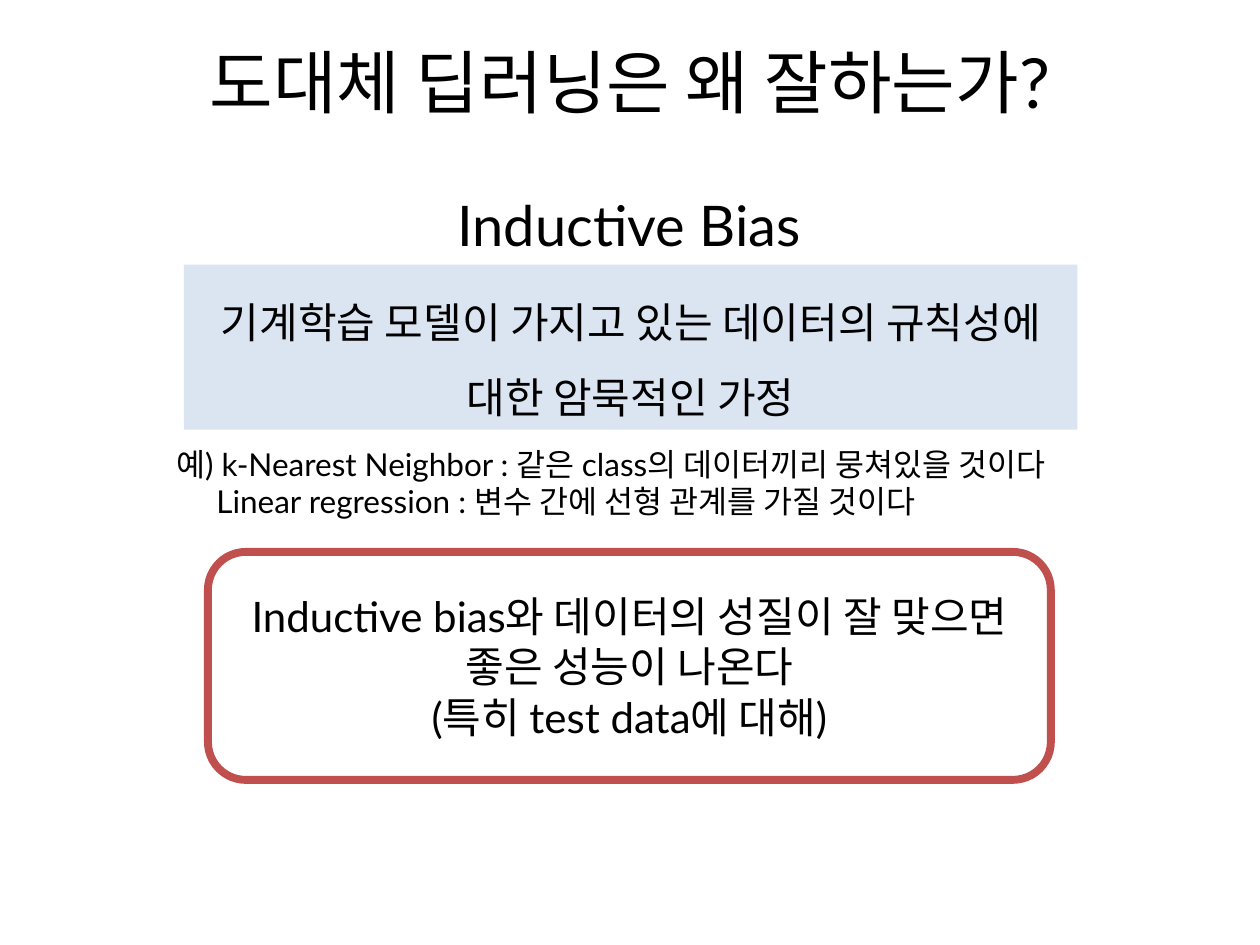
from pptx import Presentation
from pptx.dml.color import RGBColor
from pptx.enum.shapes import MSO_SHAPE
from pptx.enum.text import MSO_ANCHOR, MSO_AUTO_SIZE, PP_ALIGN
from pptx.util import Inches, Pt


def color(value):
    return RGBColor.from_string(value)


class SlideBuilder:
    font_name = "Lato"
    text_color = "000000"

    def __init__(self, page):
        self.page = page

    def fill_text(self, box, lines, size, align=PP_ALIGN.CENTER,
                  anchor=MSO_ANCHOR.TOP, spacing=None):
        frame = box.text_frame
        frame.text = "\n".join(lines)
        frame.word_wrap = True
        frame.auto_size = MSO_AUTO_SIZE.NONE
        frame.vertical_anchor = anchor
        for para in frame.paragraphs:
            para.alignment = align
            if spacing:
                para.line_spacing = spacing
            for span in para.runs:
                span.font.name = self.font_name
                span.font.size = Pt(size)
                span.font.color.rgb = color(self.text_color)
        return box

    def title(self, text, left, top, width, height):
        box = self.page.shapes.title
        box.left, box.top = Inches(left), Inches(top)
        box.width, box.height = Inches(width), Inches(height)
        return self.fill_text(box, [text], 39.5, anchor=MSO_ANCHOR.MIDDLE)

    def text(self, lines, left, top, width, height, size, **style):
        box = self.page.shapes.add_textbox(
            Inches(left), Inches(top), Inches(width), Inches(height))
        return self.fill_text(box, lines, size, **style)

    def panel(self, kind, lines, left, top, width, height, fill,
              line=None, **style):
        box = self.page.shapes.add_shape(
            kind, Inches(left), Inches(top), Inches(width), Inches(height))
        box.shadow.inherit = False
        box.fill.solid()
        box.fill.fore_color.rgb = color(fill)
        if line:
            box.line.color.rgb = color(line)
            box.line.width = Pt(4.5)
        else:
            box.line.fill.background()
        return self.fill_text(box, lines, 24, **style)


def main():
    deck = Presentation()
    deck.slide_width, deck.slide_height = Inches(10), Inches(7.5)
    builder = SlideBuilder(deck.slides.add_slide(deck.slide_layouts[5]))

    builder.title("도대체 딥러닝은 왜 잘하는가?", 0.5, 0.3, 9, 0.69)
    builder.text(["Inductive Bias"], 2.95, 1.46, 4.09, 0.64, 32)
    builder.panel(
        MSO_SHAPE.RECTANGLE,
        ["기계학습 모델이 가지고 있는 데이터의 규칙성에 대한 암묵적인 가정"],
        1.46, 2.1, 7.09, 1.31, "DAE5F1", spacing=1.5)
    examples = builder.text(
        ["예) k-Nearest Neighbor : 같은 class의 데이터끼리 뭉쳐있을 것이다",
         "Linear regression : 변수 간에 선형 관계를 가질 것이다"],
        1.3, 3.48, 8.03, 0.71, 18, align=PP_ALIGN.LEFT)
    second_example = examples.text_frame.paragraphs[1]
    second_example._p.get_or_add_pPr().set("marL", str(Inches(0.32)))
    builder.panel(
        MSO_SHAPE.ROUNDED_RECTANGLE,
        ["Inductive bias와 데이터의 성질이 잘 맞으면 좋은 성능이 나온다",
         "(특히 test data에 대해)"],
        1.65, 4.38, 6.69, 1.81, "FFFFFF", line="C0504D",
        anchor=MSO_ANCHOR.MIDDLE)

    deck.save("out.pptx")


if __name__ == "__main__":
    main()
